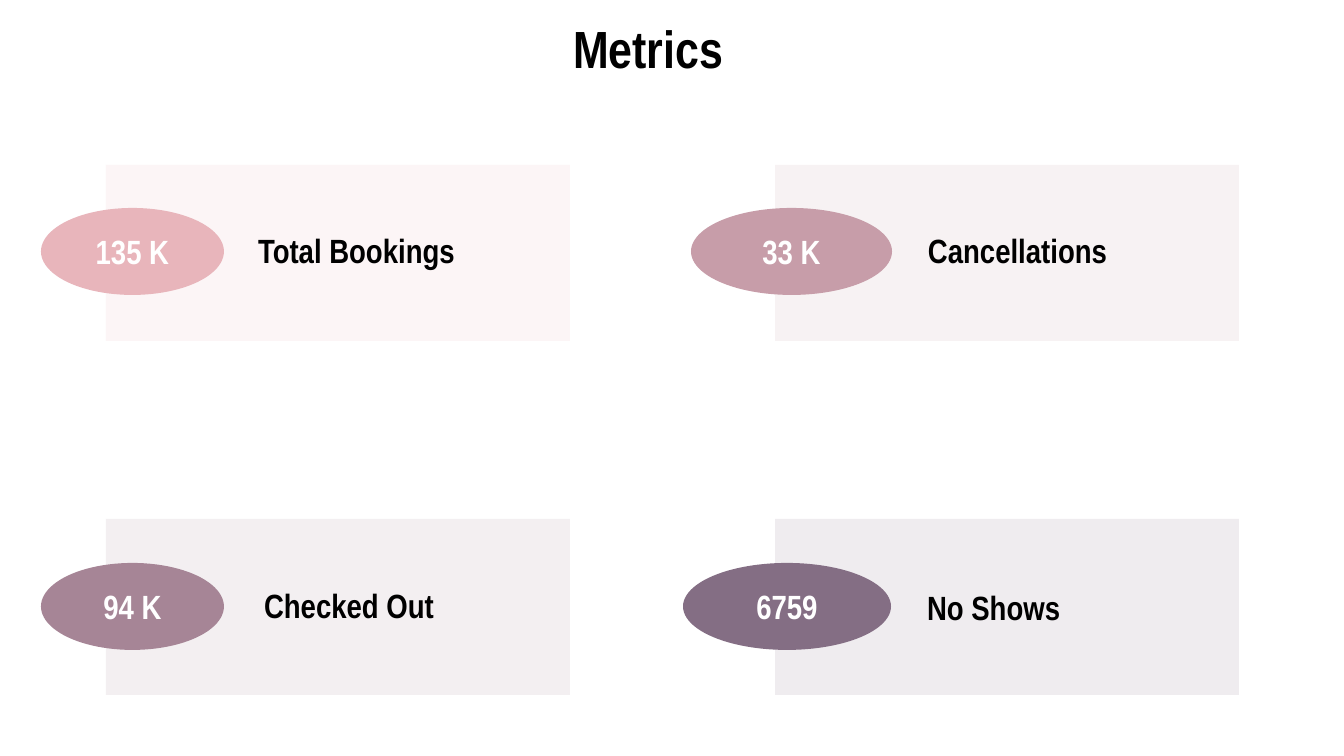
import pptx
import pptx.dml.color
import pptx.enum.shapes
import pptx.enum.text
import pptx.oxml.ns
import pptx.util
from lxml import etree

SHAPE = pptx.enum.shapes.MSO_SHAPE
ALIGN = pptx.enum.text.PP_ALIGN


def px(length):
    return pptx.util.Emu(round(length * 914400 / 134.4))


def color(value):
    return pptx.dml.color.RGBColor.from_string(value)


class MetricsPage:
    font = "Arial Narrow"
    ink = "000000"
    inset = 13

    def __init__(self, deck):
        self.page = deck.slides.add_slide(deck.slide_layouts[5])

    def place(self, shape, left, top, width, height):
        shape.left, shape.top = px(left), px(top)
        shape.width, shape.height = px(width), px(height)

    def set_text(self, shape, text, size, ink, align):
        frame = shape.text_frame
        frame.word_wrap = True
        frame.auto_size = pptx.enum.text.MSO_AUTO_SIZE.NONE
        frame.vertical_anchor = pptx.enum.text.MSO_ANCHOR.MIDDLE
        frame.margin_left = frame.margin_right = px(self.inset)
        frame.margin_top = frame.margin_bottom = px(self.inset)
        para = frame.paragraphs[0]
        para.alignment = align
        span = para.add_run()
        span.text = text
        span.font.name = self.font
        span.font.size = pptx.util.Pt(size)
        span.font.bold = True
        span.font.color.rgb = color(ink)

    def title(self, text, *area):
        box = self.page.shapes.title
        self.place(box, *area)
        self.set_text(box, text, 28, self.ink, ALIGN.CENTER)

    def filled(self, shapes, kind, fill, area):
        shape = shapes.add_shape(kind, *map(px, area))
        shape.shadow.inherit = False
        shape.fill.solid()
        shape.fill.fore_color.rgb = color(fill)
        shape.line.fill.background()
        return shape

    def card(self, fill, *area):
        card = self.filled(self.page.shapes, SHAPE.RECTANGLE, fill, area)
        tint = card.element.spPr.find(".//" + pptx.oxml.ns.qn("a:srgbClr"))
        etree.SubElement(tint, pptx.oxml.ns.qn("a:alpha"), val="13000")

    def label(self, shapes, text, *area):
        box = shapes.add_textbox(*map(px, area))
        self.set_text(box, text, 18, self.ink, ALIGN.LEFT)

    def badge(self, shapes, text, fill, *area):
        badge = self.filled(shapes, SHAPE.OVAL, fill, area)
        self.set_text(badge, text, 18, "FFFFFF", ALIGN.CENTER)

    def metric(self, name, value, fill, label_at, badge_at):
        shapes = self.page.shapes.add_group_shape().shapes
        self.label(shapes, name, *label_at, 302, 40)
        self.badge(shapes, value, fill, *badge_at, 87)


def main():
    deck = pptx.Presentation()
    deck.slide_width, deck.slide_height = px(1344), px(756)
    page = MetricsPage(deck)
    page.title("Metrics", 43, 20, 1210, 55)

    columns = (106, 775)
    rows = (165, 519)
    metrics = (
        ("Checked Out", "94 K", "A68596", 0, 1, (251, 585), (41, 563, 183)),
        ("No Shows", "6759", "846E84", 1, 1, (914, 587), (683, 563, 208)),
        ("Cancellations", "33 K", "C79DA9", 1, 0, (915, 230), (691, 208, 201)),
        ("Total Bookings", "135 K", "E8B5BB", 0, 0, (245, 230), (41, 208, 183)),
    )
    for name, value, fill, column, row, label_at, badge_at in metrics:
        page.card(fill, columns[column], rows[row], 464, 176)
    for name, value, fill, column, row, label_at, badge_at in metrics:
        page.metric(name, value, fill, label_at, badge_at)
    deck.save("out.pptx")


if __name__ == "__main__":
    main()
